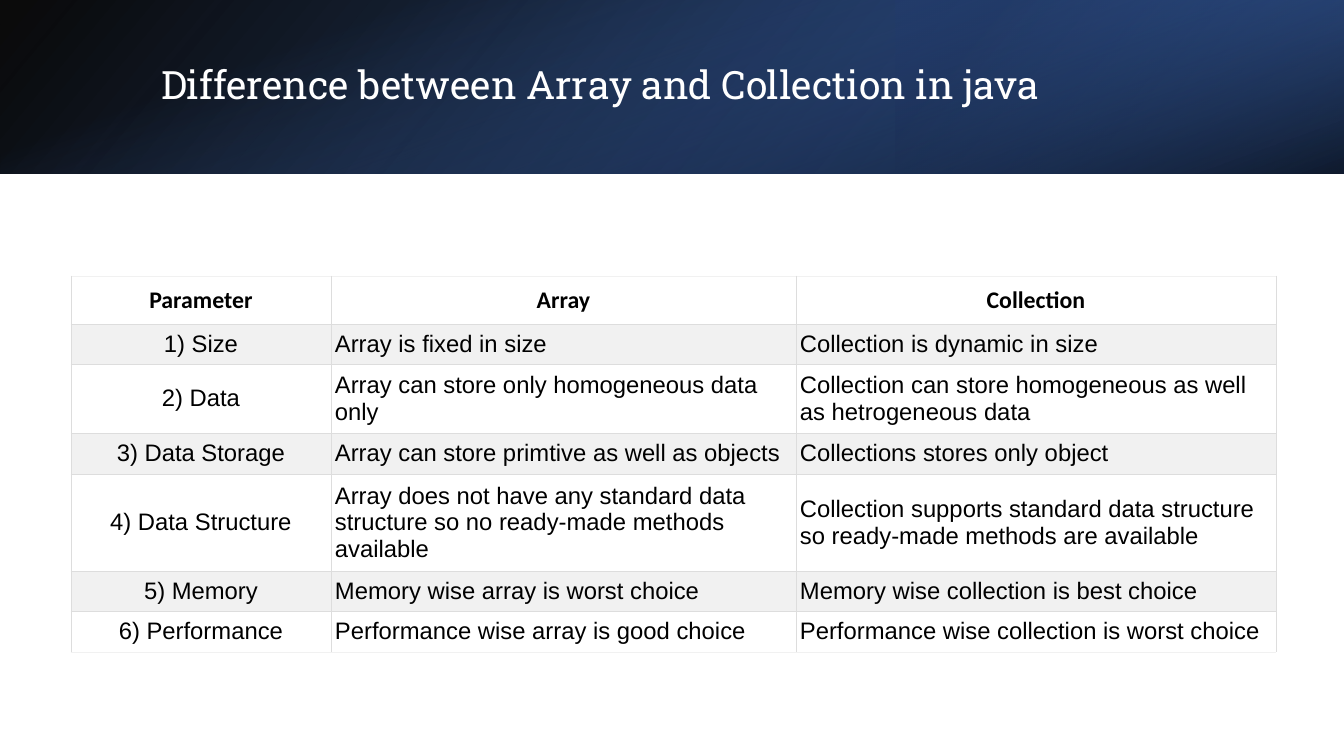
from lxml.etree import SubElement
from pptx import Presentation
from pptx.dml.color import RGBColor
from pptx.enum.shapes import MSO_SHAPE
from pptx.enum.text import MSO_ANCHOR, PP_ALIGN
from pptx.oxml.ns import qn
from pptx.util import Pt

SCALE = 12192000 / 1344
BAND_H = 174
COLS = [260, 465, 480]
ROWS = [48, 40, 69, 41, 97, 40, 41]
LIGHT, RULE = "F1F1F1", "DDDDDD"
DATA = [
    ("Parameter", "Array", "Collection"),
    ("1) Size", "Array is fixed in size", "Collection is dynamic in size"),
    ("2) Data", "Array can store only homogeneous data only",
     "Collection can store homogeneous as well as hetrogeneous data"),
    ("3) Data Storage", "Array can store primtive as well as objects",
     "Collections stores only object"),
    ("4) Data Structure",
     "Array does not have any standard data structure so no ready-made methods available",
     "Collection supports standard data structure so ready-made methods are available"),
    ("5) Memory", "Memory wise array is worst choice",
     "Memory wise collection is best choice"),
    ("6) Performance", "Performance wise array is good choice",
     "Performance wise collection is worst choice"),
]


def px(n):
    """Turn pixels into EMU."""
    return round(n * SCALE)


def rgb(value):
    """Turn a hex string into a colour."""
    return RGBColor.from_string(value)


def set_font(p, name, size, color, bold=False):
    """Format the font of a paragraph."""
    p.font.name = name
    p.font.size = Pt(size)
    p.font.bold = bold
    p.font.color.rgb = rgb(color)


def add_gradient(s, box, stops, angle, rotation=0, flip=False):
    """Add a rectangle with a gradient of (position, colour, opacity) stops."""
    sp = s.shapes.add_shape(MSO_SHAPE.RECTANGLE, *map(px, box))
    sp.shadow.inherit = False
    sp.line.fill.background()
    sp.rotation = rotation
    if flip:
        sp.element.spPr.find(qn("a:xfrm")).set("flipH", "1")
    sp.fill.gradient()
    sp.fill.gradient_angle = 360 - angle
    for stop, (position, color, _) in zip(sp.fill.gradient_stops, stops):
        stop.position = position / 100
        stop.color.rgb = rgb(color)
    for clr, (_, _, opacity) in zip(sp.element.iter(qn("a:srgbClr")), stops):
        SubElement(clr, qn("a:alpha")).set("val", str(opacity * 1000))


def add_title(s, text, box):
    """Place the title in front of the band."""
    sp = s.shapes.title
    s.shapes.element.append(sp.element)
    sp.left, sp.top, sp.width, sp.height = map(px, box)
    tf = sp.text_frame
    tf.text = text
    tf.word_wrap = True
    tf.vertical_anchor = MSO_ANCHOR.MIDDLE
    p = tf.paragraphs[0]
    p.alignment = PP_ALIGN.LEFT
    p.line_spacing = 0.9
    set_font(p, "Roboto Slab", 27.9, "FFFFFF")


def set_borders(cell, top, bottom):
    """Draw thin lines on all four sides of a cell."""
    tc_pr = cell._tc.get_or_add_tcPr()
    for side, color in zip("LRTB", (RULE, RULE, top, bottom)):
        ln = SubElement(tc_pr, qn(f"a:ln{side}"), w=str(Pt(0.6)))
        fill = SubElement(ln, qn("a:solidFill"))
        SubElement(fill, qn("a:srgbClr"), val=color)


def fill_cell(cell, text, row, col):
    """Write and format one table cell."""
    header = row == 0
    set_borders(cell, LIGHT if header else RULE,
                LIGHT if row == len(DATA) - 1 else RULE)
    if row % 2:
        cell.fill.solid()
        cell.fill.fore_color.rgb = rgb(LIGHT)
    else:
        cell.fill.background()
    cell.margin_left = cell.margin_right = px(4)
    cell.margin_top = cell.margin_bottom = px(8 if header else 4)
    cell.vertical_anchor = MSO_ANCHOR.MIDDLE
    cell.text = text
    p = cell.text_frame.paragraphs[0]
    p.alignment = PP_ALIGN.CENTER if header or col == 0 else PP_ALIGN.LEFT
    set_font(p, "Calibri" if header else "Arial", 17, "000000", header)


def add_comparison(s, left, top):
    """Add the comparison table."""
    box = map(px, (left, top, sum(COLS), sum(ROWS)))
    table = s.shapes.add_table(len(ROWS), len(COLS), *box).table
    table.first_row = table.horz_banding = False
    for column, width in zip(table.columns, COLS):
        column.width = px(width)
    for i, (row, height) in enumerate(zip(table.rows, ROWS)):
        row.height = px(height)
        for j, cell in enumerate(row.cells):
            fill_cell(cell, DATA[i][j], i, j)


def main():
    """Build the slide."""
    prs = Presentation()
    prs.slide_width, prs.slide_height = px(1344), px(756)
    s = prs.slides.add_slide(prs.slide_layouts[5])
    add_gradient(s, (0, 0, 1344, BAND_H),
                 [(0, "000000", 96), (100, "2F5597", 100)], 140, flip=True)
    add_gradient(s, (896, 0, 448, BAND_H),
                 [(19, "203864", 68), (100, "4472C4", 79)], 320, 180, True)
    add_gradient(s, (585, -585, BAND_H, 1344),
                 [(23, "4472C4", 0), (99, "000000", 74)], 340, 90)
    add_title(s, "Difference between Array and Collection in java",
              (151, 38, 1107, 97))
    add_comparison(s, 71, 276)
    prs.save("out.pptx")


if __name__ == "__main__":
    main()
